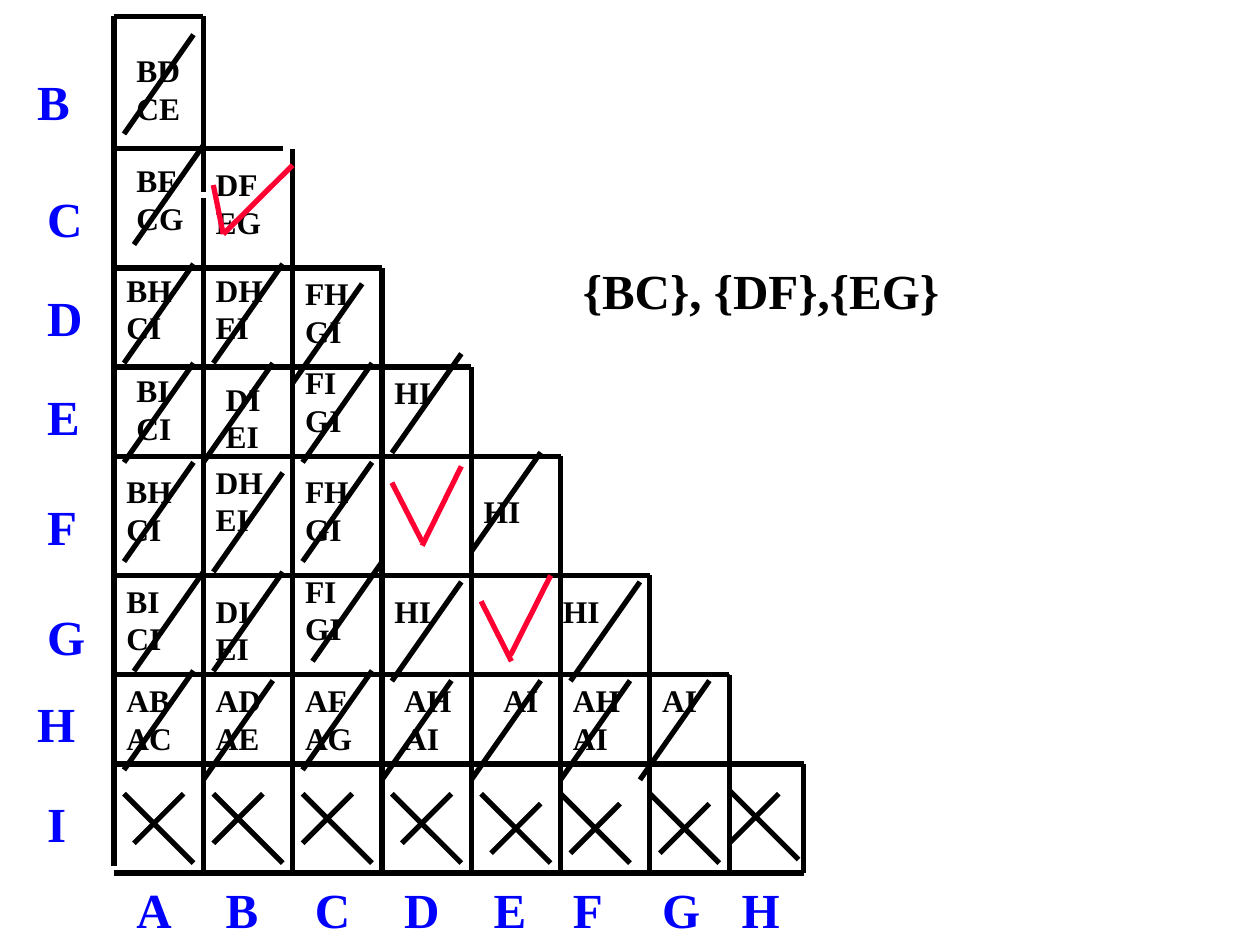
from lxml.etree import SubElement
from pptx import Presentation
from pptx.dml.color import RGBColor
from pptx.enum.shapes import MSO_CONNECTOR as Connector, MSO_SHAPE as Shape
from pptx.enum.text import MSO_ANCHOR as Anchor, MSO_AUTO_SIZE as AutoSize, PP_ALIGN as Align
from pptx.oxml.ns import qn
from pptx.util import Cm, Pt

BLACK = RGBColor(0x00, 0x00, 0x00)
BLUE = RGBColor(0x00, 0x00, 0xFF)
RED = RGBColor(0xFF, 0x00, 0x33)
FONT = "Times New Roman"

# Staircase grid, in centimetres
COLUMN_EDGES = [2.3 + 1.8 * i for i in range(7)] + [14.7, 16.2]
ROW_EDGES = [0.33, 3.0, 5.4, 7.4, 9.2, 11.6, 13.6, 15.4, 17.6]
UPPER_ENDS = [3.87, 7.2, 8.8, 10.2, 12.2, 13.6, 15.0, 16.0]
LOWER_ENDS = [4.0, 7.0, 8.8, 10.0, 12.2, 13.2, 15.0, 16.0]

# State letters: letter, left, top, width
COLUMN_LEFTS = [2.5, 4.3, 6.1, 7.9, 9.7, 11.3, 13.1, 14.7]
ROW_LETTERS = [
    ("B", 0.5, 1.32, 1.4), ("C", 0.7, 3.68, 1.2), ("D", 0.7, 5.67, 1.1),
    ("E", 0.7, 7.67, 1.2), ("F", 0.7, 9.88, 1.2), ("G", 0.7, 12.1, 1.4),
    ("H", 0.5, 13.86, 1.2), ("I", 0.7, 15.87, 0.8),
]

# Implied pairs: text, text left and top, slash left and top (None: no slash)
PAIRS = [
    ("BD CE", 2.5, 0.91, (2.5, 0.7)),
    ("BF CG", 2.5, 3.12, (2.7, 2.93)),
    ("BH CI", 2.3, 5.33, (2.5, 5.32)),
    ("BI CI", 2.5, 7.35, (2.5, 7.32)),
    ("BH CI", 2.3, 9.4, (2.5, 9.32)),
    ("BI CI", 2.3, 11.6, (2.7, 11.53)),
    ("AB AC", 2.3, 13.6, (2.5, 13.52)),
    ("DF EG", 4.1, 3.2, None),
    ("DH EI", 4.1, 5.33, (4.3, 5.32)),
    ("DI EI", 4.3, 7.53, (4.1, 7.32)),
    ("DH EI", 4.1, 9.2, (4.3, 9.53)),
    ("DI EI", 4.1, 11.8, (4.3, 11.53)),
    ("AD AE", 4.1, 13.6, (4.1, 13.72)),
    ("FH GI", 5.9, 5.4, (5.9, 5.72)),
    ("FI GI", 5.9, 7.2, (6.1, 7.32)),
    ("FH GI", 5.9, 9.4, (6.1, 9.32)),
    ("FI GI", 5.9, 11.4, (6.3, 11.33)),
    ("AF AG", 5.9, 13.6, (6.1, 13.52)),
    ("HI", 7.7, 7.4, (7.9, 7.13)),
    ("HI", 7.7, 11.8, (7.9, 11.73)),
    ("AH AI", 7.9, 13.6, (7.7, 13.72)),
    ("HI", 9.5, 9.8, (9.5, 9.12)),
    ("AI", 9.9, 13.6, (9.5, 13.72)),
    ("HI", 11.1, 11.8, (11.5, 11.73)),
    ("AH AI", 11.3, 13.6, (11.3, 13.72)),
]

# Crosses in the bottom row: long stroke top, short stroke offset and top
CROSSES = [
    (16.0, 0.2, 16.0), (16.0, 0, 16.0), (16.0, 0, 16.0), (16.0, 0.2, 16.0),
    (16.0, 0.2, 16.2), (16.0, 0.2, 16.2), (16.0, 0.2, 16.2), (15.93, 0, 16.0),
]

# Strokes of the check marks: start x, start y, end x, end y
CHECK_STROKES = [
    (4.3, 3.73, 4.5, 4.72), (4.5, 4.72, 5.9, 3.33),
    (7.9, 9.73, 8.51, 10.92), (8.51, 11.0, 9.3, 9.4),
    (9.7, 12.12, 10.31, 13.33), (10.29, 13.21, 11.1, 11.6),
]


def add_line(slide, x1, y1, x2, y2, color=BLACK):
    line = slide.shapes.add_connector(Connector.STRAIGHT, Cm(x1), Cm(y1), Cm(x2), Cm(y2))
    line.line.color.rgb = color
    line.line.width = Pt(3)
    SubElement(line._element.spPr, qn("a:effectLst"))


def write_lines(shape, lines, size, color):
    frame = shape.text_frame
    frame.word_wrap = True
    frame.auto_size = AutoSize.SHAPE_TO_FIT_TEXT
    frame.vertical_anchor = Anchor.TOP
    for index, text in enumerate(lines):
        paragraph = frame.paragraphs[0] if index == 0 else frame.add_paragraph()
        paragraph.alignment = Align.LEFT
        run = paragraph.add_run()
        run.text = text
        run.font.name = FONT
        run.font.size = Pt(size)
        run.font.bold = True
        run.font.color.rgb = color


def add_text(slide, lines, left, top, width, height, size, color=BLACK):
    box = slide.shapes.add_textbox(Cm(left), Cm(top), Cm(width), Cm(height))
    write_lines(box, lines, size, color)


def add_letter(slide, letter, left, top, width):
    add_text(slide, [letter], left, top, width, 1.45, 28, BLUE)


def add_slash(slide, left, top):
    add_line(slide, left + 1.4, top, left, top + 2)


def add_cross(slide, left, long_top, offset, short_top):
    add_line(slide, left, long_top, left + 1.4, long_top + 1.4)
    short_left = left + offset
    add_line(slide, short_left + 1, short_top, short_left, short_top + 1)


def add_grid(slide):
    left, bottom = COLUMN_EDGES[0], ROW_EDGES[-1]
    add_line(slide, left, 17.45, left, ROW_EDGES[0])
    add_line(slide, left, bottom, COLUMN_EDGES[-1], bottom)
    steps = zip(COLUMN_EDGES[1:], ROW_EDGES, UPPER_ENDS, LOWER_ENDS)
    for index, (x, top, upper_end, lower_end) in enumerate(steps):
        right = x - 0.2 if index == 1 else x
        add_line(slide, left, top, right, top)
        add_line(slide, x, top, x, upper_end)
        add_line(slide, x, bottom, x, lower_end)


def add_framed_pair(slide):
    cell = slide.shapes.add_shape(Shape.RECTANGLE, Cm(13.1), Cm(13.6), Cm(1.6), Cm(1.8))
    cell.shadow.inherit = False
    cell.fill.background()
    cell.line.color.rgb = BLACK
    cell.line.width = Pt(0.75)
    write_lines(cell, ["AI"], 18, BLACK)
    add_slash(slide, 12.9, 13.72)


def main():
    presentation = Presentation()
    presentation.slide_width = Cm(25.4)
    presentation.slide_height = Cm(19.05)
    slide = presentation.slides.add_slide(presentation.slide_layouts[6])

    add_grid(slide)

    # State letters under and beside the grid
    for letter, left in zip("ABCDEFGH", COLUMN_LEFTS):
        add_letter(slide, letter, left, 17.6, 1.4)
    for row_letter in ROW_LETTERS:
        add_letter(slide, *row_letter)

    # Implied pairs, struck out where the states differ
    for text, left, top, slash in PAIRS:
        add_text(slide, text.split(), left, top, 1.6, 1.78, 18)
        if slash:
            add_slash(slide, *slash)
    add_framed_pair(slide)

    # Crosses and check marks
    for left, cross in zip(COLUMN_LEFTS, CROSSES):
        add_cross(slide, left, *cross)
    for stroke in CHECK_STROKES:
        add_line(slide, *stroke, RED)

    # Equivalent states
    add_text(slide, ["{BC}, {DF},{EG}"], 11.5, 5.13, 9.6, 1.45, 28)

    presentation.save("out.pptx")


if __name__ == "__main__":
    main()
